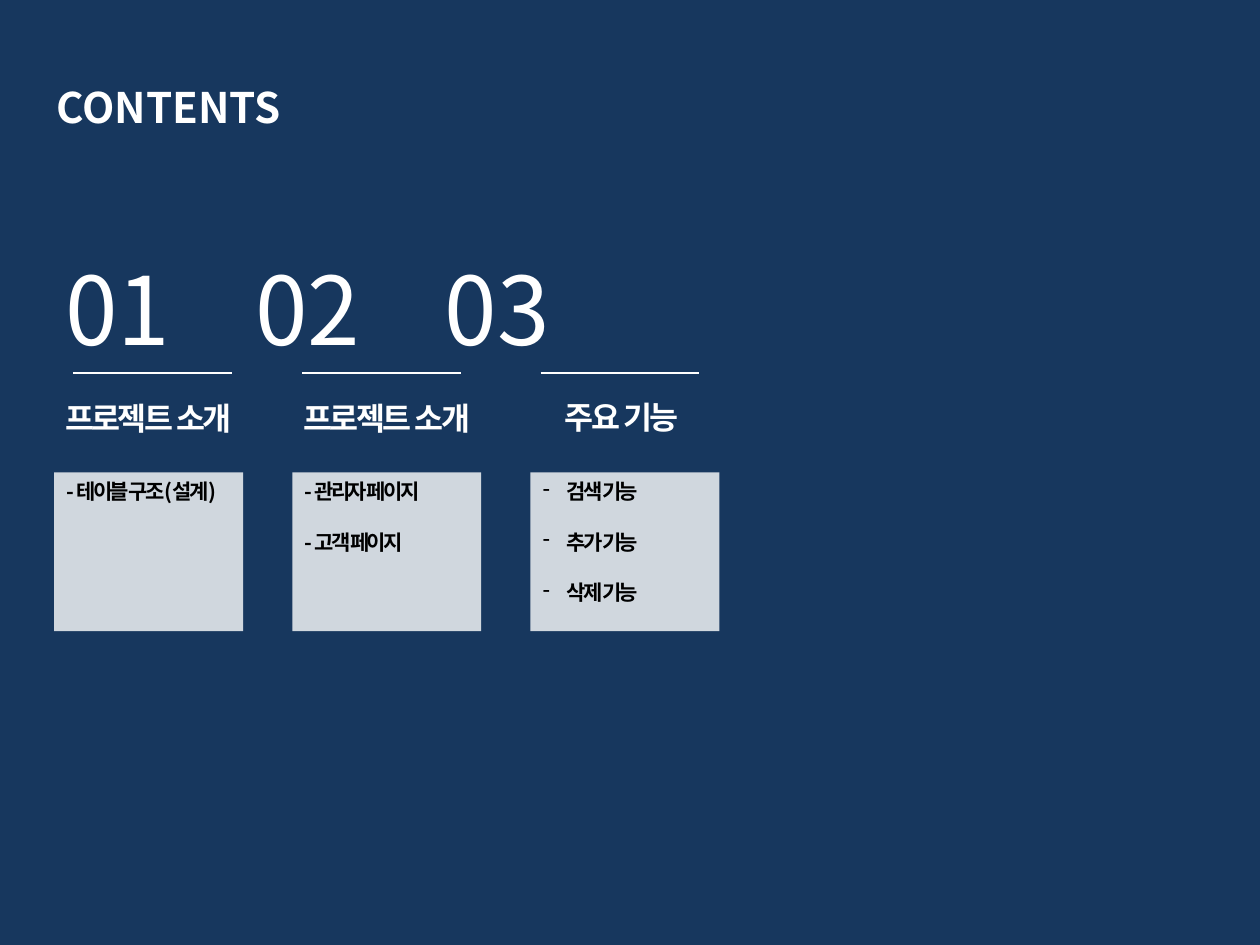
from lxml.etree import SubElement
from pptx import Presentation
from pptx.dml.color import RGBColor
from pptx.enum.shapes import MSO_CONNECTOR as Connector, MSO_SHAPE as Shape
from pptx.enum.text import PP_ALIGN as Align
from pptx.oxml.ns import qn
from pptx.util import Pt

NAVY = RGBColor(0x17, 0x37, 0x5E)
WHITE = RGBColor(0xFF, 0xFF, 0xFF)
BLACK = RGBColor(0, 0, 0)
NOTO = "Noto Sans CJK KR"

# Content: heading, its width and top, rule start, items, items height, bulleted
TITLE = "CONTENTS"
NUMBERS = ["01", "02", "03"]
SECTIONS = [
    ("프로젝트 소개", 119.5, 224.64, 41.76, ["- 테이블 구조(설계)"], 36, False),
    ("프로젝트 소개", 130.32, 224.64, 172.8,
     ["- 관리자 페이지", "- 고객 페이지"], 108.72, False),
    ("주요 기능 ", 130.32, 223.92, 308.88,
     ["검색 기능", "추가 기능", "삭제 기능"], 79.92, True),
]

# Layout
PANEL_LEFT, PANEL_TOP, PANEL_WIDTH, PANEL_HEIGHT = 30.96, 270, 108, 90.72
PANEL_STEP = 136.08
RULE_TOP, RULE_WIDTH = 213.12, 90.72
NUMBER_STEP = 108.4
ITEM_GAP, BULLET_INDENT = 14.4, 13.68


def add_text(slide, box, lines, size, color, font=NOTO, bold=True,
             tracking=0, align=None, gap=0):
    text_frame = slide.shapes.add_textbox(*map(Pt, box)).text_frame
    text_frame.word_wrap = True
    text_frame.text = "\n".join(lines)
    for index, paragraph in enumerate(text_frame.paragraphs):
        paragraph.alignment = align
        if index and gap:
            paragraph.space_before = Pt(gap)
        for run in paragraph.runs:
            run.font.size = Pt(size)
            run.font.bold = bold
            run.font.name = font
            run.font.color.rgb = color
            properties = run.font._element
            SubElement(properties, qn("a:ea")).set("typeface", font)
            if tracking:
                properties.set("spc", str(int(tracking * 100)))
    return text_frame


def add_bullets(text_frame):
    for paragraph in text_frame.paragraphs:
        properties = paragraph._p.get_or_add_pPr()
        properties.set("marL", str(Pt(BULLET_INDENT)))
        properties.set("indent", str(-Pt(BULLET_INDENT)))
        SubElement(properties, qn("a:buFontTx"))
        SubElement(properties, qn("a:buChar")).set("char", "-")


def add_panel(slide, left):
    panel = slide.shapes.add_shape(Shape.RECTANGLE, Pt(left), Pt(PANEL_TOP),
                                   Pt(PANEL_WIDTH), Pt(PANEL_HEIGHT))
    panel.shadow.inherit = False
    panel.line.fill.background()
    panel.fill.solid()
    panel.fill.fore_color.rgb = WHITE
    color = panel._element.spPr.find(qn("a:solidFill"))[0]
    SubElement(color, qn("a:alpha")).set("val", "80000")


def add_rule(slide, left):
    rule = slide.shapes.add_connector(Connector.STRAIGHT, Pt(left), Pt(RULE_TOP),
                                      Pt(left + RULE_WIDTH), Pt(RULE_TOP))
    rule.line.color.rgb = WHITE
    rule.line.width = Pt(0.75)
    SubElement(rule._element.spPr, qn("a:effectLst"))


def main():
    presentation = Presentation()
    presentation.slide_width, presentation.slide_height = Pt(720), Pt(540)
    slide = presentation.slides.add_slide(presentation.slide_layouts[6])
    slide.background.fill.solid()
    slide.background.fill.fore_color.rgb = NAVY

    # Title
    add_text(slide, (25.2, 43.2, 329.04, 36), [TITLE], 24, WHITE)

    # Section numbers on even tab stops
    numbers = add_text(slide, (30.24, 139.68, 668.88, 72.72),
                       ["\t".join(NUMBERS)], 54, WHITE, bold=False)
    tabs = SubElement(numbers.paragraphs[0]._p.get_or_add_pPr(), qn("a:tabLst"))
    for index in range(1, len(NUMBERS)):
        tab = SubElement(tabs, qn("a:tab"))
        tab.set("pos", str(Pt(NUMBER_STEP * index)))
        tab.set("algn", "l")

    # Section columns
    for index, section in enumerate(SECTIONS):
        heading, width, top, rule_left, items, height, bulleted = section
        left = PANEL_LEFT + index * PANEL_STEP
        add_panel(slide, left)
        add_rule(slide, rule_left)
        add_text(slide, (left + (PANEL_WIDTH - width) / 2, top, width, 28.8),
                 [heading], 18, WHITE, font="Arial", tracking=-1.5,
                 align=Align.CENTER)
        item_text = add_text(slide, (left, PANEL_TOP, PANEL_WIDTH, height),
                             items, 12, BLACK, tracking=-1.5, gap=ITEM_GAP)
        if bulleted:
            add_bullets(item_text)

    presentation.save("out.pptx")


if __name__ == "__main__":
    main()
